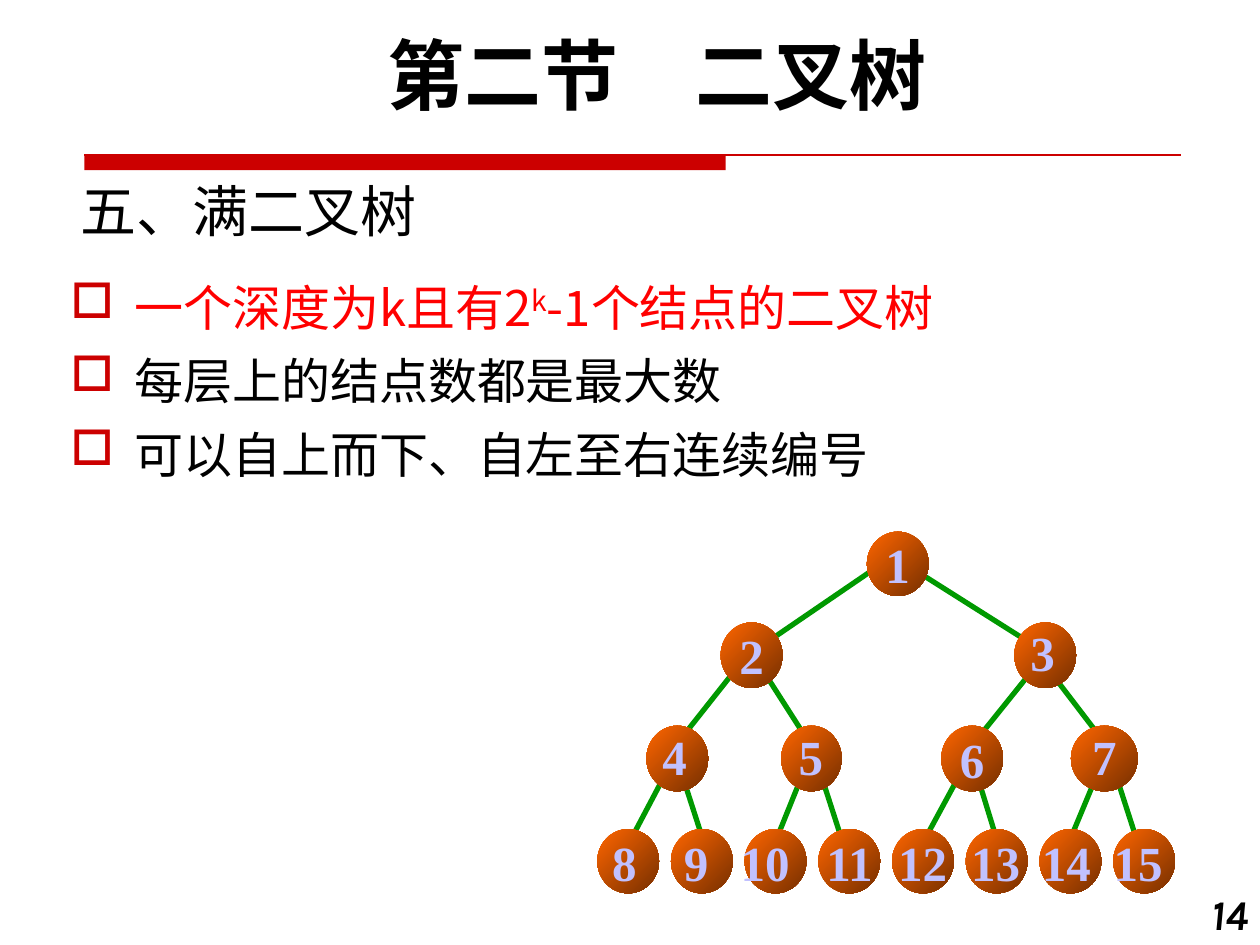
from lxml.etree import SubElement
from pptx import Presentation
from pptx.dml.color import RGBColor
from pptx.enum.shapes import MSO_CONNECTOR, MSO_SHAPE
from pptx.enum.text import MSO_ANCHOR, PP_ALIGN
from pptx.oxml.ns import qn
from pptx.util import Inches, Pt

COLORS = {"rule": "CC0000", "text": "000000", "accent": "FF0000", "edge": "009900",
          "node_light": "FF6600", "node_dark": "762F00", "label": "C1C1FF"}
CJK = "Noto Sans CJK SC"

LEVELS = [(0, 0.51), (0.72, 0.52), (1.54, 0.52), (2.36, 0.51)]
LABEL_TOPS = [0, 0.67, 1.5, 2.34]
NODE_SPANS = {1: (2.14, 0.49), 2: (0.98, 0.49), 3: (3.31, 0.49), 4: (0.39, 0.49),
              5: (1.46, 0.48), 6: (2.73, 0.49), 7: (3.76, 0.53)}
NODE_SPANS.update({8 + i: (i * 0.585, 0.49) for i in range(8)})
LABEL_LEFTS = {3: 3.34, 4: 0.42, 5: 1.5, 7: 3.83, 8: 0.02, 9: 0.59, 10: 1.04,
               11: 1.72, 12: 2.29, 13: 2.87, 14: 3.43, 15: 4.0}
EDGES = [
    (2.53, 0.31, 3.51, 0.93), (2.28, 0.24, 1.27, 0.93),
    (3.61, 1.13, 4.0, 1.64), (3.51, 1.03, 3.02, 1.64),
    (1.27, 1.03, 1.66, 1.64), (1.07, 1.13, 0.58, 1.75),
    (4.09, 1.85, 4.29, 2.47), (4.0, 1.85, 3.7, 2.57),
    (3.02, 1.95, 3.21, 2.57), (2.92, 1.85, 2.53, 2.57),
    (1.75, 1.85, 1.95, 2.47), (1.66, 1.85, 1.37, 2.57),
    (0.68, 1.95, 0.88, 2.57), (0.58, 1.85, 0.2, 2.57),
]


def rgb(name):
    """Return the named palette colour."""
    return RGBColor.from_string(COLORS[name])


def style_run(run, size, face, color, bold=False, italic=False):
    """Format one run of text."""
    font = run.font
    font.size, font.name, font.bold, font.italic = Pt(size), face, bold, italic
    font.color.rgb = rgb(color)
    if face == CJK:
        SubElement(run._r.get_or_add_rPr(), qn("a:ea")).set("typeface", face)


def add_text(shapes, box, text, size, face, color, align=PP_ALIGN.LEFT,
             anchor=MSO_ANCHOR.TOP, wrap=True, **emphasis):
    """Add a one-paragraph text box."""
    frame = shapes.add_textbox(*map(Inches, box)).text_frame
    frame.text = text
    frame.word_wrap, frame.vertical_anchor = wrap, anchor
    frame.paragraphs[0].alignment = align
    style_run(frame.paragraphs[0].runs[0], size, face, color, **emphasis)


def add_line(shapes, start, end, color, width):
    """Add a straight line without a shadow."""
    line = shapes.add_connector(MSO_CONNECTOR.STRAIGHT, *map(Inches, (*start, *end)))
    line.line.color.rgb, line.line.width = rgb(color), Pt(width)
    SubElement(line._element.spPr, qn("a:effectLst"))


def add_rule(shapes, box):
    """Draw the thick and thin red rule under the heading."""
    left, top, width, height = box
    bar = shapes.add_shape(MSO_SHAPE.RECTANGLE, *map(Inches, (left, top, 5.09, height)))
    bar.shadow.inherit = False
    bar.fill.solid()
    bar.fill.fore_color.rgb = rgb("rule")
    bar.line.fill.background()
    add_line(shapes, (left, top), (left + width, top), "rule", 0.75)


def add_bullet(paragraph):
    """Give a paragraph a hanging red square bullet."""
    properties = paragraph._p.get_or_add_pPr()
    properties.set("marL", str(Inches(0.51)))
    properties.set("indent", str(-Inches(0.51)))
    bullet_color = SubElement(properties, qn("a:buClr"))
    SubElement(bullet_color, qn("a:srgbClr")).set("val", COLORS["rule"])
    SubElement(properties, qn("a:buChar")).set("char", "□")


def add_points(shapes, box):
    """Write the bulleted properties of a full binary tree."""
    points = [
        (["一个深度为k且有2", "k", "-1个结点的二叉树"], "accent"),
        (["每层上的结点数都是最大数"], "text"),
        (["可以自上而下、自左至右连续编号"], "text"),
    ]
    frame = shapes.add_textbox(*map(Inches, box)).text_frame
    frame.word_wrap = True
    for index, (pieces, color) in enumerate(points):
        paragraph = frame.add_paragraph() if index else frame.paragraphs[0]
        add_bullet(paragraph)
        if index:
            paragraph.space_before = Pt(8.4)
        for piece in pieces:
            run = paragraph.add_run()
            run.text = piece
            style_run(run, 28, CJK, color)
            if piece == "k":
                run.font._element.set("baseline", "30000")


def add_node(shapes, box, number):
    """Draw one tree node, numbered inside unless it has a label of its own."""
    node = shapes.add_shape(MSO_SHAPE.OVAL, *map(Inches, box))
    node.shadow.inherit = False
    node.line.fill.background()
    node.fill.gradient()
    node.fill.gradient_angle = 315
    for stop, color in zip(node.fill.gradient_stops, ("node_light", "node_dark")):
        stop.color.rgb = rgb(color)
    if number not in LABEL_LEFTS:
        frame = node.text_frame
        frame.text = str(number)
        frame.word_wrap, frame.vertical_anchor = False, MSO_ANCHOR.MIDDLE
        frame.paragraphs[0].alignment = PP_ALIGN.CENTER
        style_run(frame.paragraphs[0].runs[0], 28, "Times New Roman", "label", bold=True)


def add_tree(shapes, left, top):
    """Draw the full binary tree of depth four."""
    tree = shapes.add_group_shape().shapes
    for x1, y1, x2, y2 in EDGES:
        add_line(tree, (left + x1, top + y1), (left + x2, top + y2), "edge", 3)
    for number, (offset, width) in NODE_SPANS.items():
        level_top, height = LEVELS[number.bit_length() - 1]
        add_node(tree, (left + offset, top + level_top, width, height), number)
    for number, offset in LABEL_LEFTS.items():
        label_top = top + LABEL_TOPS[number.bit_length() - 1]
        width = 0.4 if number < 10 else 0.59
        add_text(tree, (left + offset, label_top, width, 0.57), str(number), 28,
                 "Times New Roman", "label", wrap=False, bold=True)


def main():
    """Build and save the slide."""
    deck = Presentation()
    deck.slide_width, deck.slide_height = Inches(10), Inches(7.5)
    shapes = deck.slides.add_slide(deck.slide_layouts[6]).shapes
    add_rule(shapes, (0.67, 1.23, 8.7, 0.12))
    add_text(shapes, (0.54, 1.23, 6.25, 0.75), "五、满二叉树", 32, CJK, "text",
             anchor=MSO_ANCHOR.BOTTOM)
    add_text(shapes, (9.33, 7, 0.67, 0.5), "14", 24, "Karla", "text",
             align=PP_ALIGN.RIGHT, bold=True, italic=True)
    add_points(shapes, (0.46, 2.15, 9.58, 4.42))
    add_tree(shapes, 4.74, 4.22)
    add_text(shapes, (0.59, 0.17, 9.25, 0.84), "第二节\u3000二叉树", 44, "Karla", "text",
             align=PP_ALIGN.CENTER, bold=True)
    deck.save("out.pptx")


if __name__ == "__main__":
    main()
